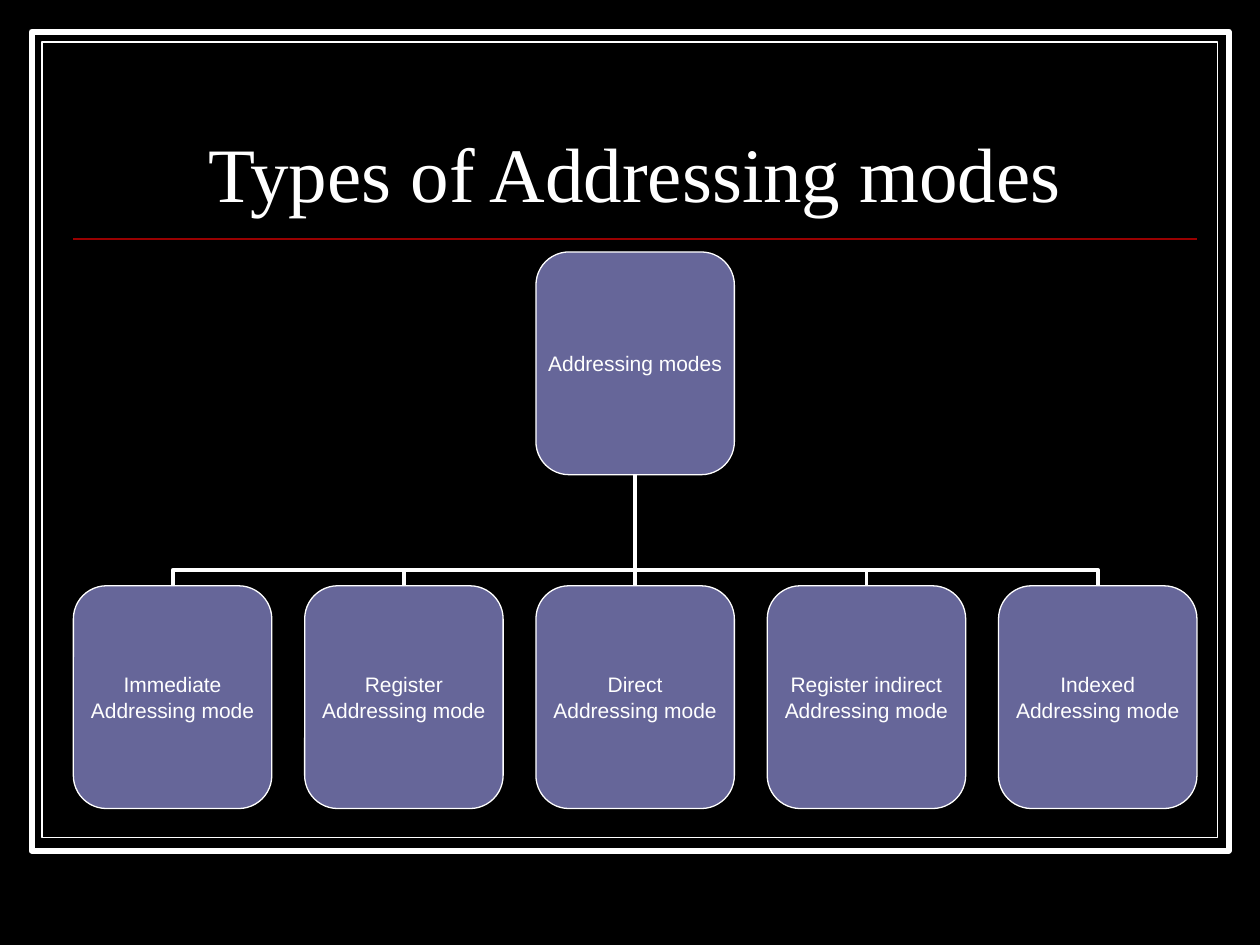
import pptx
import pptx.dml.color
import pptx.enum.shapes
import pptx.enum.text
import pptx.oxml
import pptx.oxml.ns
import pptx.util

Cm, Pt = pptx.util.Cm, pptx.util.Pt
RGBColor = pptx.dml.color.RGBColor
MSO_SHAPE = pptx.enum.shapes.MSO_SHAPE
MSO_CONNECTOR = pptx.enum.shapes.MSO_CONNECTOR
MSO_ANCHOR = pptx.enum.text.MSO_ANCHOR
PP_ALIGN = pptx.enum.text.PP_ALIGN
qn = pptx.oxml.ns.qn

# Content
TITLE = "Types of Addressing modes"
ROOT = "Addressing modes"
MODES = ["Immediate", "Register", "Direct", "Register indirect", "Indexed"]
MODE_SUFFIX = "Addressing mode"

BLACK = RGBColor(0x00, 0x00, 0x00)
WHITE = RGBColor(0xFF, 0xFF, 0xFF)
RED = RGBColor(0x99, 0x00, 0x00)
VIOLET = RGBColor(0x66, 0x66, 0x99)

# Layout in centimetres
LEFT, RIGHT = 1.48, 24.13
BOX_W, BOX_H = 4.0, 4.49
ROOT_TOP, MODE_TOP = 5.08, 11.81
PITCH = (RIGHT - LEFT - BOX_W) / (len(MODES) - 1)
CENTER = (LEFT + RIGHT) / 2
ELBOW_ADJ = 14200  # bend position, in 1/1000 percent of the rise


def add_box(shapes, kind, x, y, w, h, fill, line_pt):
    sp = shapes.add_shape(kind, Cm(x), Cm(y), Cm(w), Cm(h))
    sp.shadow.inherit = False
    sp.fill.solid()
    sp.fill.fore_color.rgb = fill
    sp.line.color.rgb = WHITE
    sp.line.width = Pt(line_pt)
    return sp


def add_line(shapes, kind, x1, y1, x2, y2, color, width_pt):
    line = shapes.add_connector(kind, Cm(x1), Cm(y1), Cm(x2), Cm(y2))
    line.line.color.rgb = color
    line.line.width = Pt(width_pt)
    line._element.spPr.append(pptx.oxml.parse_xml(
        f"<a:effectLst {pptx.oxml.ns.nsdecls('a')}/>"))
    return line


def set_text(sp, text, font, size, anchor):
    tf = sp.text_frame
    tf.text = text
    tf.vertical_anchor = anchor
    for p in tf.paragraphs:
        p.alignment = PP_ALIGN.CENTER
        for r in p.runs:
            r.font.name = font
            r.font.size = Pt(size)
            r.font.color.rgb = WHITE
    return tf


def add_node(shapes, x, y, text):
    sp = add_box(shapes, MSO_SHAPE.ROUNDED_RECTANGLE, x, y, BOX_W, BOX_H, VIOLET, 0.75)
    tf = set_text(sp, text, "Arial", 12, MSO_ANCHOR.MIDDLE)
    tf.margin_left = tf.margin_right = tf.margin_top = tf.margin_bottom = 0
    tf.word_wrap = False


def add_branch(shapes, x):
    """Connect the top of the mode centred at x with the bottom of the root."""
    top = ROOT_TOP + BOX_H
    rise, run = MODE_TOP - top, abs(x - CENTER)
    if run < 0.01:
        add_line(shapes, MSO_CONNECTOR.STRAIGHT, x, MODE_TOP, x, top, WHITE, 2.25)
        return
    # An elbow leaves sideways, so it is laid out flat and turned upright
    mid_x, mid_y = (x + CENTER) / 2, (MODE_TOP + top) / 2
    side = 1 if x > CENTER else -1
    line = add_line(shapes, MSO_CONNECTOR.ELBOW,
                    mid_x - side * rise / 2, mid_y + run / 2,
                    mid_x + side * rise / 2, mid_y - run / 2, WHITE, 2.25)
    spPr = line._element.spPr
    spPr.find(qn("a:xfrm")).set("rot", str((270 if side > 0 else 90) * 60000))
    av = spPr.find(qn("a:prstGeom")).get_or_add_avLst()
    gd = av.makeelement(qn("a:gd"), {"name": "adj1", "fmla": f"val {ELBOW_ADJ}"})
    av.append(gd)


def main():
    prs = pptx.Presentation()
    prs.slide_width, prs.slide_height = Cm(25.4), Cm(19.05)
    s = prs.slides.add_slide(prs.slide_layouts[6])
    s.background.fill.solid()
    s.background.fill.fore_color.rgb = BLACK
    shapes = s.shapes

    # Double frame and title rule
    add_box(shapes, MSO_SHAPE.RECTANGLE, 0.64, 0.64, 24.13, 16.51, BLACK, 3.5)
    add_box(shapes, MSO_SHAPE.RECTANGLE, 0.85, 0.85, 23.7, 16.03, BLACK, 0.75)
    add_line(shapes, MSO_CONNECTOR.STRAIGHT, LEFT, 4.82, RIGHT, 4.82, RED, 1)

    # Title
    title = shapes.add_textbox(Cm(LEFT), Cm(1.32), Cm(RIGHT - LEFT), Cm(3.18))
    tf = set_text(title, TITLE, "Times New Roman", 44, MSO_ANCHOR.BOTTOM)
    tf.word_wrap = True
    tf.paragraphs[0].line_spacing = 0.8

    # Tree: branches first, boxes over them
    lefts = [LEFT + i * PITCH for i in range(len(MODES))]
    for x in reversed(lefts):
        add_branch(shapes, x + BOX_W / 2)
    add_node(shapes, CENTER - BOX_W / 2, ROOT_TOP, ROOT)
    for x, mode in zip(lefts, MODES):
        add_node(shapes, x, MODE_TOP, f"{mode}\n{MODE_SUFFIX}")

    prs.save("out.pptx")


if __name__ == "__main__":
    main()
